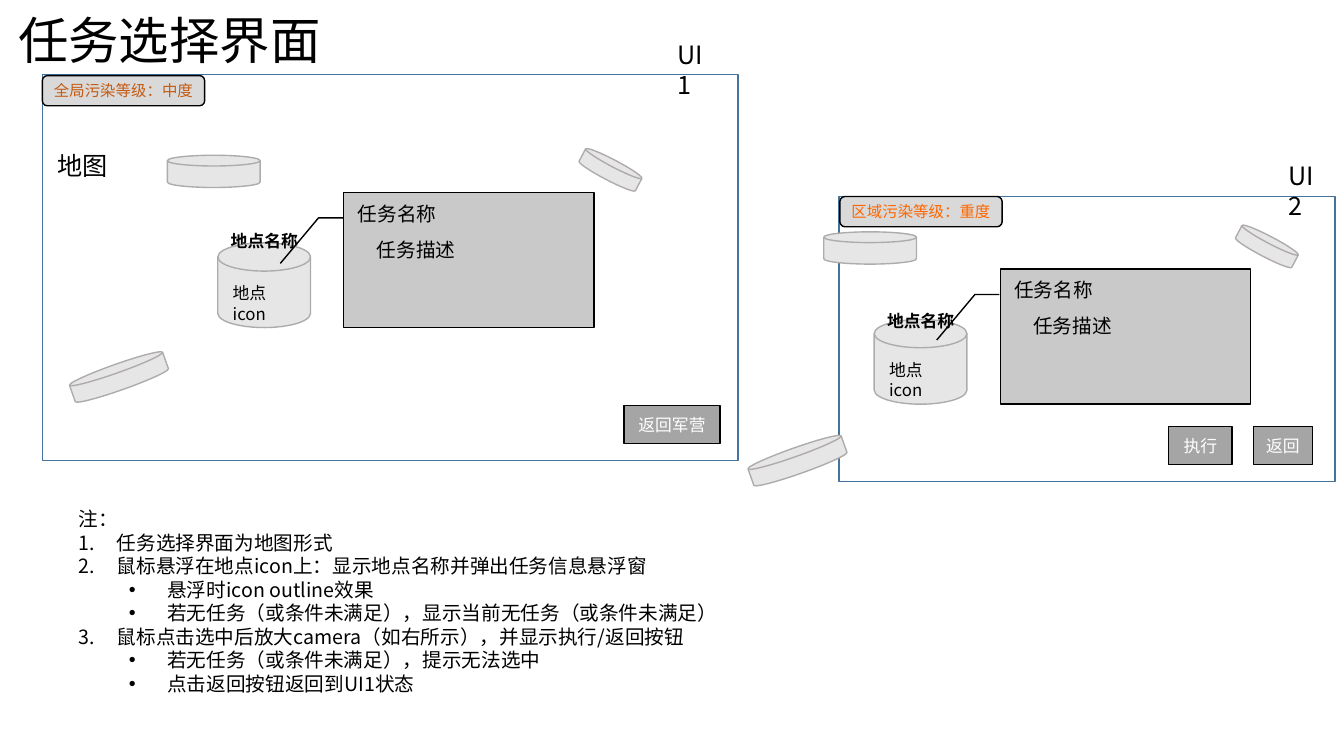
from lxml.etree import SubElement
from pptx import Presentation
from pptx.dml.color import RGBColor
from pptx.enum.shapes import MSO_SHAPE as Kind
from pptx.enum.text import MSO_ANCHOR as Anchor, PP_ALIGN as Align
from pptx.oxml.ns import qn
from pptx.util import Inches, Pt

FONT = "Noto Sans CJK SC"
BLACK = RGBColor(0x00, 0x00, 0x00)
WHITE = RGBColor(0xFF, 0xFF, 0xFF)
BLUE = RGBColor(0x43, 0x73, 0x9E)
PALE = RGBColor(0xE7, 0xE6, 0xE6)
EDGE = RGBColor(0xAF, 0xAB, 0xAB)
PANEL = RGBColor(0xC9, 0xC9, 0xC9)
BUTTON = RGBColor(0xA5, 0xA5, 0xA5)
BADGE = RGBColor(0xD9, 0xD9, 0xD9)
RUST = RGBColor(0xC5, 0x5A, 0x11)
ORANGE = RGBColor(0xFF, 0x66, 0x00)

TITLE = ("任务选择界面", (0, 0.04, 3.36, 0.71))
MAP = ("地图", (0.47, 1.44, 0.71, 0.4))
NOTES_BOX = (0.68, 4.98, 6.78, 2.22)
NOTES = [
    ("", "注："),
    ("1", "任务选择界面为地图形式"),
    ("1", "鼠标悬浮在地点icon上：显示地点名称并弹出任务信息悬浮窗"),
    ("•", "悬浮时icon outline效果"),
    ("•", "若无任务（或条件未满足），显示当前无任务（或条件未满足）"),
    ("1", "鼠标点击选中后放大camera（如右所示），并显示执行/返回按钮"),
    ("•", "若无任务（或条件未满足），提示无法选中"),
    ("•", "点击返回按钮返回到UI1状态"),
]
SCREENS = [
    {
        "frame": (0.42, 0.74, 6.9, 3.83),
        "shift": (0, 0),
        "plate": (0.69, 3.61, 0.98, 0.26),
        "place": (2.19, 2.24, 0.88, 0.3),
        "label": ("UI1", (6.62, 0.34, 0.57, 0.4)),
        "badge": ("全局污染等级：中度", RUST, (0.42, 0.75, 1.61, 0.3)),
        "buttons": [("返回军营", (6.19, 4.02, 0.95, 0.38))],
    },
    {
        "frame": (8.32, 1.95, 4.92, 2.83),
        "shift": (6.51, 0.76),
        "plate": (7.42, 4.44, 0.98, 0.26),
        "place": (8.7, 3.03, 0.88, 0.3),
        "label": ("UI2", (12.68, 1.54, 0.57, 0.4)),
        "badge": ("区域污染等级：重度", ORANGE, (8.33, 1.95, 1.61, 0.3)),
        "buttons": [
            ("执行", (11.59, 4.23, 0.63, 0.38)),
            ("返回", (12.43, 4.23, 0.59, 0.38)),
        ],
    },
]
DISKS = [
    ((2.16, 2.41, 0.92, 0.84), 0),
    ((1.66, 1.54, 0.92, 0.32), 0),
    ((5.74, 1.58, 0.63, 0.21), 27.7),
]
CALLOUT = (3.41, 1.91, 2.48, 1.34)
LEADER = (0.188, -0.003, 0.188, -0.101, 0.525, -0.254)
TEXTS = [
    ("地点icon", (2.21, 2.76, 0.84, 0.3), 12, True),
    ("任务名称", (3.45, 1.95, 0.99, 0.34), 14, False),
    ("任务描述", (3.64, 2.31, 0.99, 0.34), 14, False),
]

deck = Presentation()
deck.slide_width, deck.slide_height = Inches(13.33), Inches(7.5)
slide = deck.slides.add_slide(deck.slide_layouts[6])


def style(para, size, color, bold=False):
    for run in para.runs:
        run.font.size = Pt(size)
        run.font.name = FONT
        run.font.bold = bold
        run.font.color.rgb = color
        SubElement(run.font._element, qn("a:ea"), typeface=FONT)


def write(text, box, size, wrap=False, align=Align.LEFT, bold=False):
    frame = slide.shapes.add_textbox(*map(Inches, box)).text_frame
    frame.word_wrap = wrap
    frame.text = text
    for para in frame.paragraphs:
        para.alignment = align
        style(para, size, BLACK, bold)
    return frame


def draw(kind, box, fill, line, text="", size=12, color=WHITE):
    shape = slide.shapes.add_shape(kind, *map(Inches, box))
    shape.shadow.inherit = False
    if fill is None:
        shape.fill.background()
    else:
        shape.fill.solid()
        shape.fill.fore_color.rgb = fill
    shape.line.color.rgb = line
    shape.line.width = Pt(1)
    if text:
        frame = shape.text_frame
        frame.text = text
        frame.vertical_anchor = Anchor.MIDDLE
        frame.paragraphs[0].alignment = Align.CENTER
        style(frame.paragraphs[0], size, color)
    return shape


def disk(box, turn):
    draw(Kind.FLOWCHART_MAGNETIC_DISK, box, PALE, EDGE).rotation = turn


def mark(para, sign):
    para.level = 1 if sign == "•" else 0
    props = para._p.get_or_add_pPr()
    props.set("marL", str(Inches(0.38 + 0.5 * para.level)))
    props.set("indent", str(Inches(-0.38)))
    if sign == "•":
        SubElement(props, qn("a:buFont"), typeface="Arial")
        SubElement(props, qn("a:buChar"), char=sign)
    else:
        SubElement(props, qn("a:buAutoNum"), type="arabicPeriod")


def screen(part):
    dx, dy = part["shift"]

    def move(box):
        x, y, w, h = box
        return x + dx, y + dy, w, h

    for text, box in part["buttons"]:
        draw(Kind.RECTANGLE, box, BUTTON, BLACK, text)
    draw(Kind.RECTANGLE, part["frame"], None, BLUE)
    for box, turn in DISKS:
        disk(move(box), turn)
    disk(part["plate"], 340.5)
    panel = draw(Kind.LINE_CALLOUT_2, move(CALLOUT), PANEL, BLACK)
    for i, value in enumerate(LEADER):
        panel.adjustments[i] = value
    for text, box, size, wrap in TEXTS:
        write(text, move(box), size, wrap)
    write("地点名称", part["place"], 12, bold=True)
    write(*part["label"], 18, True)
    text, color, box = part["badge"]
    draw(Kind.ROUNDED_RECTANGLE, box, BADGE, BLACK, text, 11, color)


notes = write("\n".join(text for _, text in NOTES), NOTES_BOX, 14)
for para, (sign, _) in zip(notes.paragraphs, NOTES):
    if sign:
        mark(para, sign)
write(*TITLE, 36, True, Align.CENTER)
write(*MAP, 18)
for part in SCREENS:
    screen(part)
deck.save("out.pptx")
